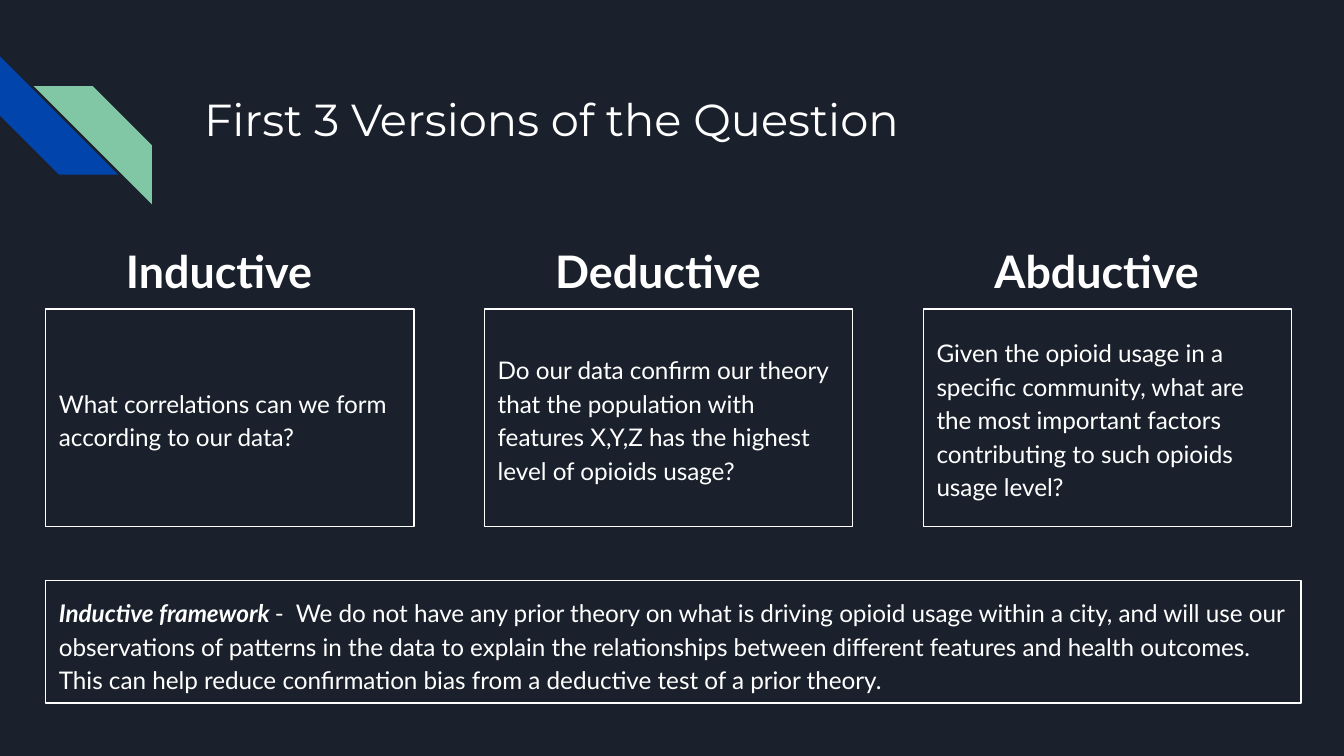
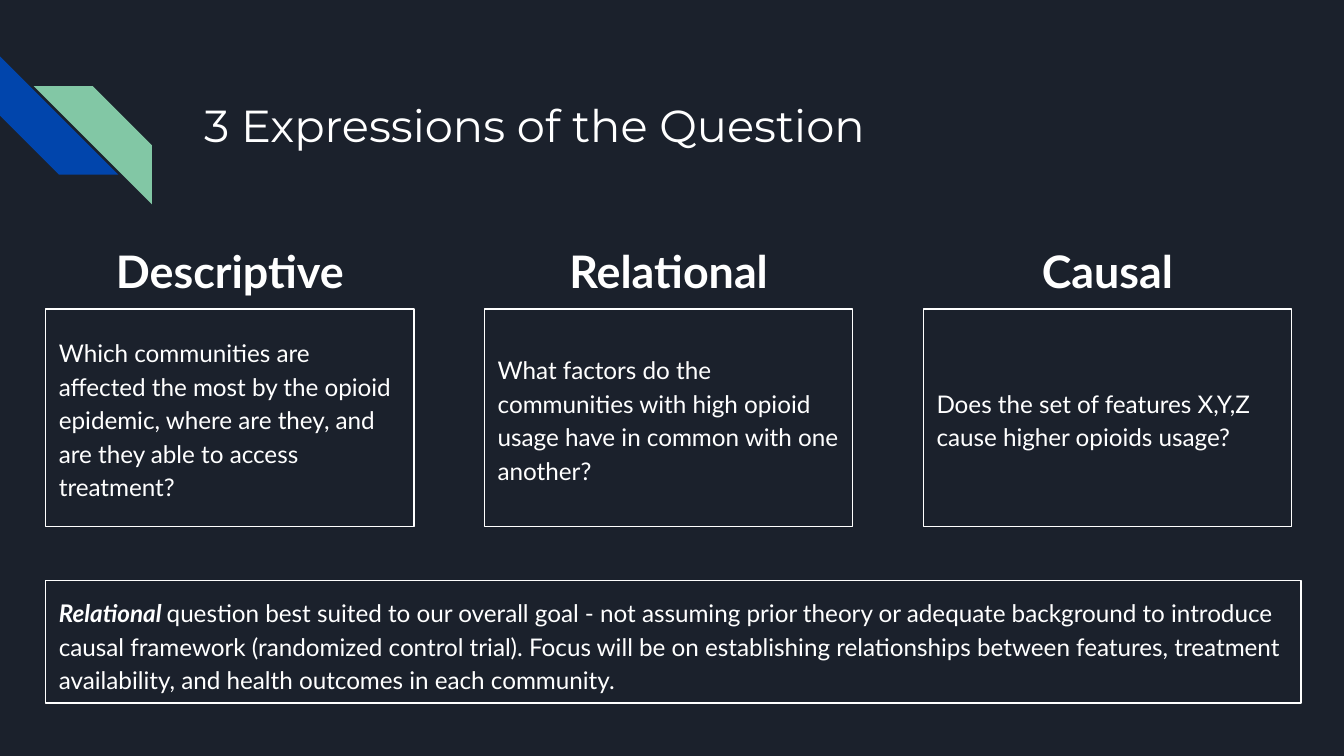
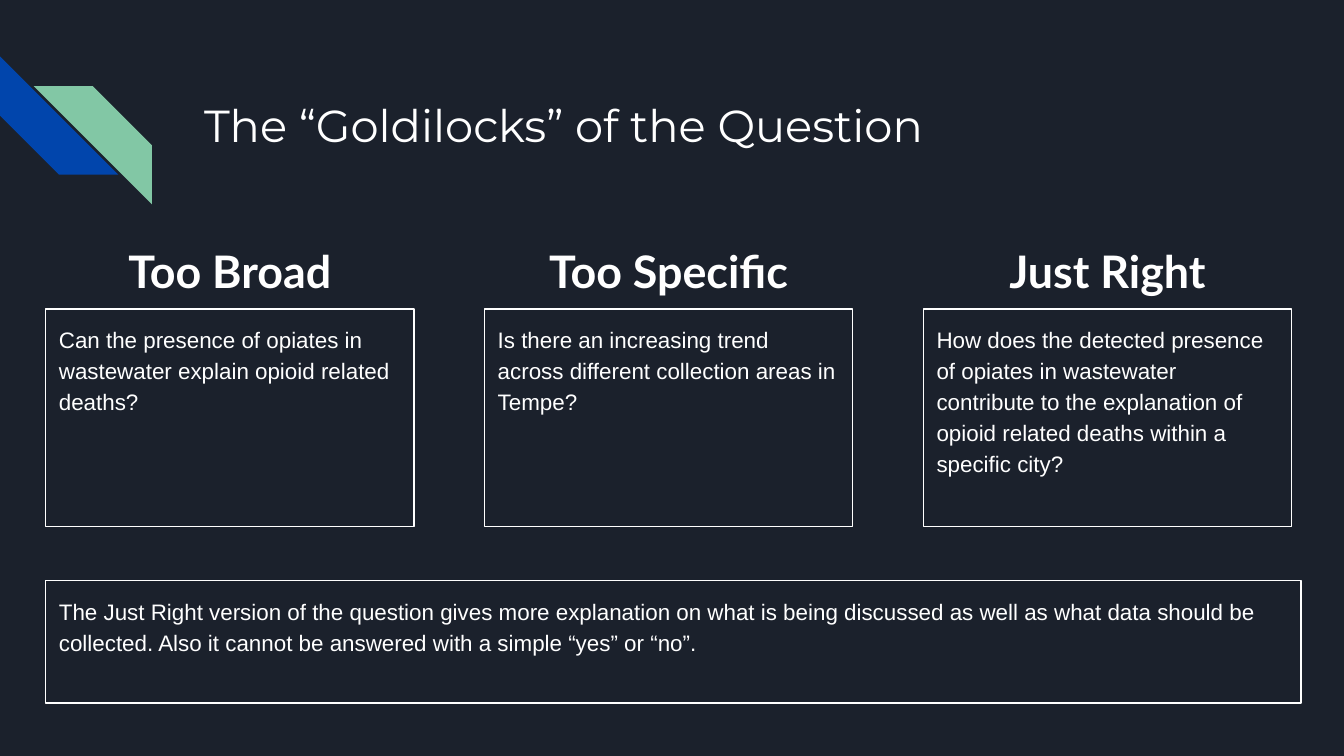
from pptx import Presentation
from pptx.dml.color import RGBColor
from pptx.enum.shapes import MSO_SHAPE as SHAPE
from pptx.enum.text import MSO_ANCHOR as ANCHOR, PP_ALIGN as ALIGN
from pptx.util import Inches, Pt

NAVY = RGBColor(0x1B, 0x21, 0x2C)
BLUE = RGBColor(0x01, 0x45, 0xAC)
GREEN = RGBColor(0x82, 0xC7, 0xA5)
WHITE = RGBColor(0xFF, 0xFF, 0xFF)

SLIDE_W = Inches(10)
SLIDE_H = SLIDE_W * 9 // 16
LEFT, LAST_LEFT, COL_W = 0.34, 6.87, 2.74
STEP = (LAST_LEFT - LEFT) / 2
STRIPES = [(0, 0.42, 270, BLUE), (0.25, 0.64, 90, GREEN)]

TITLE = {"name": "Montserrat", "size": Pt(24)}
HEADING = {"name": "Lato", "size": Pt(24), "bold": True}
LATO = {"name": "Lato", "size": Pt(13)}
ARIAL = {"name": "Arial", "size": Pt(12)}
LEAD = {"bold": True, "italic": True}
BODY_PARA = {"line_spacing": 1.15, "alignment": ALIGN.LEFT}
HEADING_PARA = {"line_spacing": 1.15, "alignment": ALIGN.CENTER, "space_after": Pt(16)}

SLIDES = [
    {
        "title": "First 3 Versions of the Question",
        "title_top": 0.38,
        "heading_left": 0.26,
        "font": LATO,
        "anchor": ANCHOR.MIDDLE,
        "columns": [
            ("Inductive", "What correlations can we form according to our data?"),
            ("Deductive", "Do our data confirm our theory that the population with "
             "features X,Y,Z has the highest level of opioids usage?"),
            ("Abductive", "Given the opioid usage in a specific community, what are the "
             "most important factors contributing to such opioids usage level?"),
        ],
        "lead": "Inductive framework ",
        "summary": "-  We do not have any prior theory on what is driving opioid usage "
        "within a city, and will use our observations of patterns in the data to explain "
        "the relationships between different features and health outcomes. This can help "
        "reduce confirmation bias from a deductive test of a prior theory.",
    },
    {
        "title": "3 Expressions of the Question",
        "title_top": 0.43,
        "heading_left": LEFT,
        "font": LATO,
        "anchor": ANCHOR.MIDDLE,
        "columns": [
            ("Descriptive", "Which communities are affected the most by the opioid "
             "epidemic, where are they, and are they able to access treatment?"),
            ("Relational", "What factors do the communities with high opioid usage have "
             "in common with one another?"),
            ("Causal", "Does the set of features X,Y,Z cause higher opioids usage?"),
        ],
        "lead": "Relational ",
        "summary": "question best suited to our overall goal - not assuming prior theory "
        "or adequate background to introduce causal framework (randomized control trial). "
        "Focus will be on establishing relationships between features, treatment "
        "availability, and health outcomes in each community.",
    },
    {
        "title": "The “Goldilocks” of the Question",
        "title_top": 0.43,
        "heading_left": LEFT,
        "font": ARIAL,
        "anchor": ANCHOR.TOP,
        "columns": [
            ("Too Broad", "Can the presence of opiates in wastewater explain opioid "
             "related deaths?"),
            ("Too Specific", "Is there an increasing trend across different collection "
             "areas in Tempe?"),
            ("Just Right", "How does the detected presence of opiates in wastewater "
             "contribute to the explanation of opioid related deaths within a specific city?"),
        ],
        "lead": "",
        "summary": "The Just Right version of the question gives more explanation on what "
        "is being discussed as well as what data should be collected. Also it cannot be "
        "answered with a simple “yes” or “no”.",
    },
]


def apply(obj, values):
    for name, value in values.items():
        setattr(obj, name, value)


def write(sp, runs, para, anchor):
    tf = sp.text_frame
    margins = dict.fromkeys(
        ("margin_left", "margin_top", "margin_right", "margin_bottom"), Inches(0.1))
    apply(tf, {"word_wrap": True, "vertical_anchor": anchor, **margins})
    p = tf.paragraphs[0]
    apply(p, para)
    for text, font in runs:
        r = p.add_run()
        r.text = text
        apply(r.font, font)
        r.font.color.rgb = WHITE


def add_label(slide, box, text, font, para, anchor):
    sp = slide.shapes.add_textbox(*map(Inches, box))
    write(sp, [(text, font)], para, anchor)


def add_box(slide, box, runs, anchor):
    sp = slide.shapes.add_shape(SHAPE.RECTANGLE, *map(Inches, box))
    sp.shadow.inherit = False
    sp.fill.background()
    sp.line.color.rgb = WHITE
    sp.line.width = Pt(0.75)
    write(sp, runs, BODY_PARA, anchor)


def add_stripe(slide, left, top, rotation, color):
    sp = slide.shapes.add_shape(
        SHAPE.DIAGONAL_STRIPE, *map(Inches, (left, top, 0.88, 0.88)))
    sp.adjustments[0] = 0.5
    sp.rotation = rotation
    sp.shadow.inherit = False
    sp.fill.solid()
    sp.fill.fore_color.rgb = color
    sp.line.fill.background()


def add_question_slide(prs, data):
    slide = prs.slides.add_slide(prs.slide_layouts[6])
    slide.background.fill.solid()
    slide.background.fill.fore_color.rgb = NAVY
    for stripe in STRIPES:
        add_stripe(slide, *stripe)
    add_label(slide, (1.42, data["title_top"], 7.7, 1), data["title"],
              TITLE, {}, ANCHOR.MIDDLE)
    font = data["font"]
    for i, (heading, question) in enumerate(data["columns"]):
        add_box(slide, (LEFT + i * STEP, 2.3, COL_W, 1.62),
                [(question, font)], data["anchor"])
        add_label(slide, (data["heading_left"] + i * STEP, 1.65, COL_W, 0.65),
                  heading, HEADING, HEADING_PARA, ANCHOR.TOP)
    runs = [(data["summary"], font)]
    if data["lead"]:
        runs.insert(0, (data["lead"], {**font, **LEAD}))
    add_box(slide, (LEFT, 4.32, 9.34, 0.91), runs, ANCHOR.TOP)


def main():
    prs = Presentation()
    apply(prs, {"slide_width": SLIDE_W, "slide_height": SLIDE_H})
    for data in SLIDES:
        add_question_slide(prs, data)
    prs.save("out.pptx")


if __name__ == "__main__":
    main()
